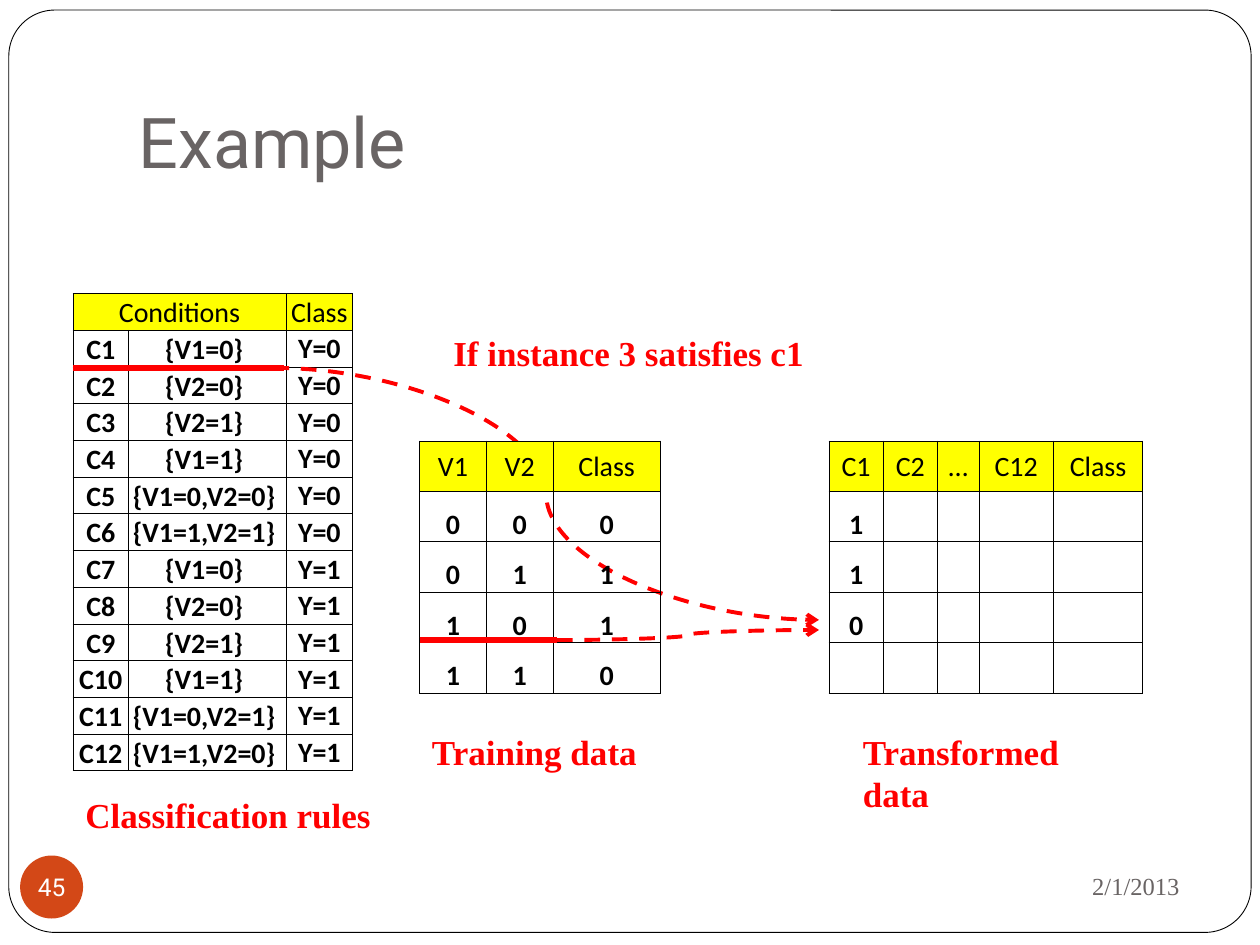
from lxml import etree
from pptx import Presentation
from pptx.dml.color import RGBColor
from pptx.enum import dml, shapes, text
from pptx.oxml import ns
from pptx.util import Inches, Pt

BLACK, RED, YELLOW, GREY, WHITE = "000000", "FF0000", "FFFF00", "696464", "FFFFFF"
SERIF, SANS, TABLE_FONT = "Times New Roman", "Roboto", "Calibri"
LEFT, CENTER, RIGHT = text.PP_ALIGN.LEFT, text.PP_ALIGN.CENTER, text.PP_ALIGN.RIGHT
MIDDLE, BOTTOM = text.MSO_ANCHOR.MIDDLE, text.MSO_ANCHOR.BOTTOM

# Content
conditions = ["{V1=0} ", "{V2=0} ", "{V2=1} ", "{V1=1} ", "{V1=0,V2=0} ", "{V1=1,V2=1} ",
              "{V1=0} ", "{V2=0} ", "{V2=1} ", "{V1=1} ", "{V1=0,V2=1} ", "{V1=1,V2=0} "]
rules = [["Conditions", "", "Class"]] + [
    [f"C{number}", condition, "Y=0" if number <= 6 else "Y=1"]
    for number, condition in enumerate(conditions, 1)]
training = [["V1", "V2", "Class"], "000", "011", "101", "110"]
transformed = [["C1", "C2", "…", "C12", "Class"]] + [
    [value, "", "", "", ""] for value in ("1", "1", "0", "")]

# left, top, column widths, row height, rows
rules_table = (0.58, 2.33, [0.44, 1.25, 0.53], 3.79 / 13, rules)
training_table = (3.33, 3.5, [0.53, 0.53, 0.85], 0.4, training)
transformed_table = (6.58, 3.5, [0.43, 0.43, 0.33, 0.59, 0.71], 0.4, transformed)

# text, left, top, width
captions = [("If instance 3 satisfies c1", 3.5, 2.58, 3.5),
            ("Training data", 3.33, 5.75, 1.92),
            ("Classification rules", 0.58, 6.25, 2.5),
            ("Transformed data", 6.75, 5.75, 2.33)]

deck = Presentation()
deck.slide_width, deck.slide_height = Inches(10), Inches(7.5)
page = deck.slides.add_slide(deck.slide_layouts[5])


def color(value):
    return RGBColor.from_string(value)


def style(para, size, font, ink, align=LEFT, bold=False):
    para.alignment = align
    para.font.size, para.font.name, para.font.bold = Pt(size), font, bold
    para.font.color.rgb = color(ink)


def set_insets(target, left, top, right, bottom):
    target.margin_left, target.margin_top = Inches(left), Inches(top)
    target.margin_right, target.margin_bottom = Inches(right), Inches(bottom)


def add_label(words, left, top, width, height, **look):
    box = page.shapes.add_textbox(*map(Inches, (left, top, width, height)))
    box.text_frame.word_wrap = True
    box.text_frame.text = words
    style(box.text_frame.paragraphs[0], **look)
    return box


def add_plain_shape(kind, left, top, width, height, fill):
    shape = page.shapes.add_shape(kind, *map(Inches, (left, top, width, height)))
    shape.shadow.inherit = False
    shape.fill.solid()
    shape.fill.fore_color.rgb = color(fill)
    return shape


def add_borders(cell):
    properties = cell._tc.get_or_add_tcPr()
    for place, side in enumerate(("lnL", "lnR", "lnT", "lnB")):
        border = etree.Element(ns.qn(f"a:{side}"), w=str(Pt(0.5)))
        fill = etree.SubElement(border, ns.qn("a:solidFill"))
        etree.SubElement(fill, ns.qn("a:srgbClr"), val=BLACK)
        properties.insert(place, border)


def add_grid(left, top, widths, row_height, rows):
    frame = page.shapes.add_table(len(rows), len(widths), Inches(left), Inches(top),
                                  Inches(sum(widths)), Inches(row_height * len(rows)))
    grid = frame.table
    for column, width in zip(grid.columns, widths):
        column.width = Inches(width)
    for r, values in enumerate(rows):
        grid.rows[r].height = Inches(row_height)
        for c, value in enumerate(values):
            cell = grid.cell(r, c)
            cell.text = value
            set_insets(cell, 0.01, 0.01, 0.01, 0)
            centred = r == 0 or value.startswith("Y=")
            cell.vertical_anchor = MIDDLE if centred else BOTTOM
            style(cell.text_frame.paragraphs[0], 16, TABLE_FONT, BLACK, CENTER, r > 0)
            if r == 0:
                cell.fill.solid()
                cell.fill.fore_color.rgb = color(YELLOW)
            else:
                cell.fill.background()
            add_borders(cell)
    return grid


def add_red_line(kind, start, end, width, arrow=False):
    link = page.shapes.add_connector(kind, *map(Inches, start + end))
    link.line.color.rgb = color(RED)
    link.line.width = Pt(width)
    if arrow:
        link.line.dash_style = dml.MSO_LINE.DASH
        etree.SubElement(link.line._get_or_add_ln(), ns.qn("a:tailEnd"), type="arrow")
    etree.SubElement(link._element.spPr, ns.qn("a:effectLst"))


# Slide frame, behind the title
title = page.shapes.title
border = add_plain_shape(shapes.MSO_SHAPE.ROUNDED_RECTANGLE, 0.07, 0.08, 9.86, 7.32, WHITE)
border.adjustments[0] = 0.05
border.line.color.rgb = color(BLACK)
border.line.width = Pt(0.5)
title.element.addprevious(border.element)

# Title
title.left, title.top, title.width, title.height = map(Inches, (1, 0.3, 8.5, 1.25))
title.text_frame.text = "Example"
title.text_frame.vertical_anchor = BOTTOM
set_insets(title.text_frame, 0.1, 0.05, 0.1, 0.1)
style(title.text_frame.paragraphs[0], 40, SANS, GREY)

# Date and slide number
date = add_label("2/1/2013", 6.75, 6.77, 2.71, 0.52, size=14, font=SERIF, ink=GREY, align=RIGHT)
date.text_frame.vertical_anchor = MIDDLE
badge = add_plain_shape(shapes.MSO_SHAPE.OVAL, 0.16, 6.79, 0.5, 0.5, "D34817")
badge.line.fill.background()
badge.text_frame.text = "45"
badge.text_frame.word_wrap = False
badge.text_frame.vertical_anchor = MIDDLE
set_insets(badge.text_frame, 0, 0, 0, 0)
style(badge.text_frame.paragraphs[0], 14, SANS, WHITE, CENTER)

# Tables, with the arrows that run between them
CURVE, STRAIGHT = shapes.MSO_CONNECTOR.CURVE, shapes.MSO_CONNECTOR.STRAIGHT
rules_grid = add_grid(*rules_table)
rules_grid.cell(0, 0).merge(rules_grid.cell(0, 1))
add_red_line(CURVE, (2.17, 2.92), (6.5, 4.92), 2.25, arrow=True)
add_grid(*training_table)
add_red_line(CURVE, (4.42, 5.08), (6.5, 5), 2.25, arrow=True)
add_red_line(STRAIGHT, (0.58, 2.92), (2.25, 2.92), 3.5)
add_red_line(STRAIGHT, (3.33, 5.08), (4.42, 5.08), 3.5)
add_grid(*transformed_table)

# Captions
for words, left, top, width in captions:
    add_label(words, left, top, width, 0.44, size=20, font=SERIF, ink=RED, bold=True)

deck.save("out.pptx")
